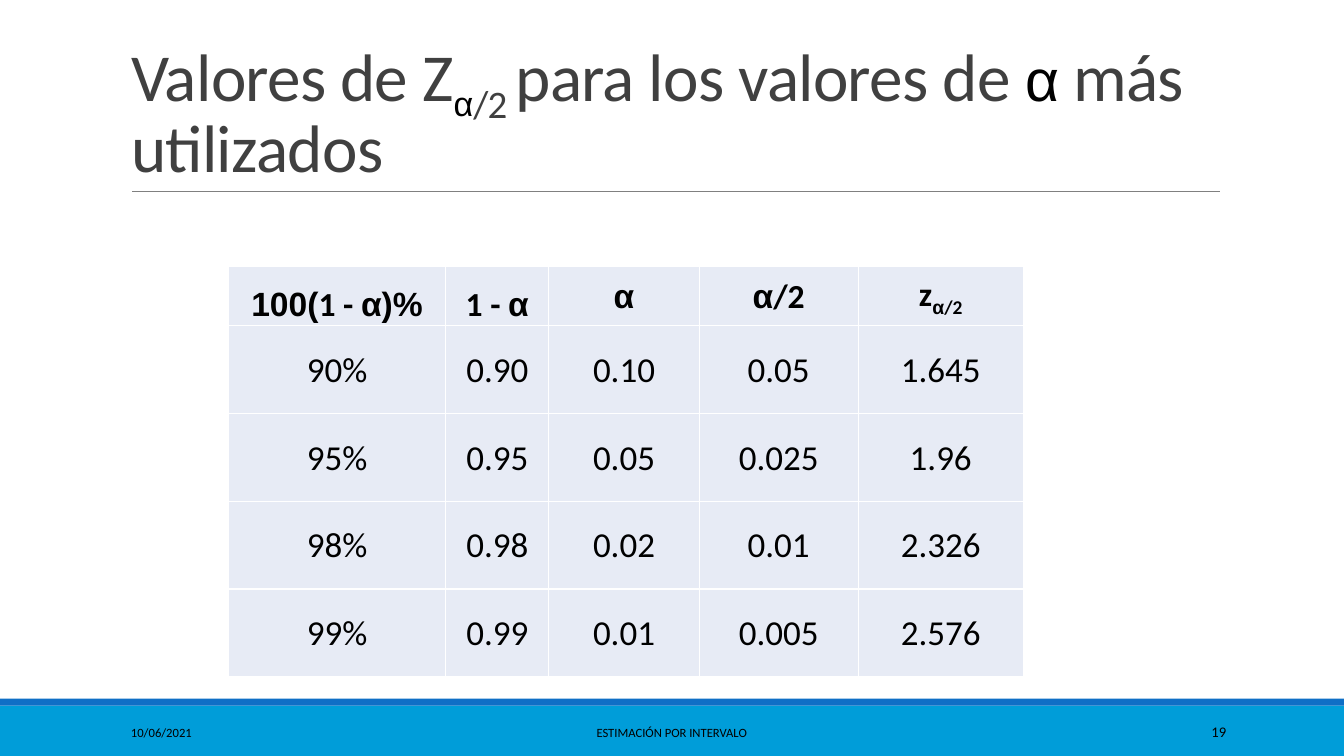
from lxml.etree import SubElement
from pptx import Presentation
from pptx.dml.color import RGBColor
from pptx.enum.shapes import MSO_CONNECTOR as CONN, MSO_SHAPE as SHAPE
from pptx.enum.text import MSO_ANCHOR as ANCHOR, MSO_AUTO_SIZE as AUTO, PP_ALIGN as ALIGN
from pptx.oxml.ns import qn
from pptx.util import Pt

SANS, GREEK = "Calibri", "Arial"
ROWS = [
    ("90%", "0.90", "0.10", "0.05", "1.645"),
    ("95%", "0.95", "0.05", "0.025", "1.96"),
    ("98%", "0.98", "0.02", "0.01", "2.326"),
    ("99%", "0.99", "0.01", "0.005", "2.576"),
]
HEADERS = [
    [("100(", GREEK), ("1 - ", SANS), ("α)%", GREEK)],
    [("1 - ", SANS), ("α", GREEK)],
    [("α", GREEK)],
    [("α", GREEK), ("/2", SANS)],
    [("z", SANS), ("α", GREEK, True), ("/2", SANS, True)],
]


def rgb(value):
    """Turn a hex string into a colour."""
    return RGBColor.from_string(value)


def set_font(font, size, color="000000", name=SANS, bold=False):
    """Format a paragraph or run font."""
    font.size, font.name, font.bold = Pt(size), name, bold
    font.color.rgb = rgb(color)


def add_run(p, text, size, color="000000", name=SANS, bold=False, sub=False):
    """Add a formatted run, optionally as a subscript."""
    r = p.add_run()
    r.text = text
    set_font(r.font, size, color, name, bold)
    if sub:
        r.font._element.set("baseline", "-25000")
    return r


def add_title(s, x, y, w, h):
    """Fill the title placeholder and rule a line under it."""
    sp = s.shapes.title
    sp.left, sp.top, sp.width, sp.height = Pt(x), Pt(y), Pt(w), Pt(h)
    tf = sp.text_frame
    tf.word_wrap, tf.auto_size = True, AUTO.NONE
    tf.vertical_anchor = ANCHOR.BOTTOM
    p = tf.paragraphs[0]
    p.alignment, p.line_spacing = ALIGN.LEFT, 0.85
    for text, sub in [("Valores de Z", False), ("α", True), ("/2 ", True),
                      ("para los valores de ", False), ("α", False),
                      (" más utilizados", False)]:
        style = (42, "000000", GREEK) if text == "α" else (48, "404040", SANS)
        r = add_run(p, text, *style, sub=sub)
        r.font._element.set("spc", "-50")
    line = s.shapes.add_connector(CONN.STRAIGHT, Pt(x + 8), Pt(y + h), Pt(x + w - 7), Pt(y + h))
    line.line.color.rgb, line.line.width = rgb("808080"), Pt(0.5)
    SubElement(line._element.spPr, qn("a:effectLst"))


def style_cell(cell, anchor):
    """Set fill, margins, alignment and white borders of a cell."""
    cell.fill.solid()
    cell.fill.fore_color.rgb = rgb("E7EBF5")
    cell.margin_left = cell.margin_right = cell.margin_top = Pt(1.5)
    cell.margin_bottom = 0
    cell.vertical_anchor = anchor
    cell.text_frame.paragraphs[0].alignment = ALIGN.CENTER
    tc_pr = cell._tc.get_or_add_tcPr()
    for i, side in enumerate(("lnL", "lnR", "lnT", "lnB")):
        ln = tc_pr.makeelement(qn(f"a:{side}"), {"w": str(Pt(1))})
        SubElement(SubElement(ln, qn("a:solidFill")), qn("a:srgbClr"), val="FFFFFF")
        tc_pr.insert(i, ln)


def add_z_table(s, x, y, w, h):
    """Build the table of critical values."""
    head_h = 42
    row_h = (h - head_h) / len(ROWS)
    shares = (155.5, 73.5, 107.5, 113.5, 118)
    table = s.shapes.add_table(len(ROWS) + 1, len(HEADERS), Pt(x), Pt(y), Pt(w), Pt(h)).table
    table.first_row = table.horz_banding = False
    for column, share in zip(table.columns, shares):
        column.width = Pt(w * share / sum(shares))
    for i, row in enumerate(table.rows):
        row.height = Pt(row_h if i else head_h)
    for j, parts in enumerate(HEADERS):
        cell = table.cell(0, j)
        style_cell(cell, ANCHOR.BOTTOM if j < 2 else ANCHOR.MIDDLE)
        for text, name, *sub in parts:
            add_run(cell.text_frame.paragraphs[0], text, 24, name=name, bold=True, sub=bool(sub))
    for i, values in enumerate(ROWS, 1):
        for j, value in enumerate(values):
            cell = table.cell(i, j)
            cell.text = value
            style_cell(cell, ANCHOR.MIDDLE)
            set_font(cell.text_frame.paragraphs[0].font, 25)


def add_footer(s, x, y, w, h):
    """Draw the two footer bands with date, subject and page number."""
    stripe = 5
    for top, height, color in [(y + stripe, h - stripe, "009DD9"), (y, stripe, "0F6FC6")]:
        sp = s.shapes.add_shape(SHAPE.RECTANGLE, Pt(x), Pt(top), Pt(w), Pt(height))
        sp.shadow.inherit = False
        sp.fill.solid()
        sp.fill.fore_color.rgb = rgb(color)
        sp.line.fill.background()
    for left, width, text, size, align in [
        (86.5, 194.5, "10/06/2021", 9, ALIGN.LEFT),
        (290, 379.5, "ESTIMACIÓN POR INTERVALO", 9, ALIGN.CENTER),
        (780, 103, "19", 10.5, ALIGN.RIGHT),
    ]:
        tf = s.shapes.add_textbox(Pt(x + left), Pt(y + 9.5), Pt(width), Pt(28.75)).text_frame
        tf.word_wrap, tf.vertical_anchor = True, ANCHOR.MIDDLE
        p = tf.paragraphs[0]
        p.text, p.alignment = text, align
        set_font(p.font, size)


def main():
    """Build and save the slide."""
    prs = Presentation()
    prs.slide_width, prs.slide_height = Pt(960), Pt(540)
    s = prs.slides.add_slide(prs.slide_layouts[5])
    add_footer(s, 0, 499, 960, 41)
    add_title(s, 86.5, 22.5, 792, 114)
    add_z_table(s, 163, 190.5, 568, 293)
    prs.save("out.pptx")


if __name__ == "__main__":
    main()
